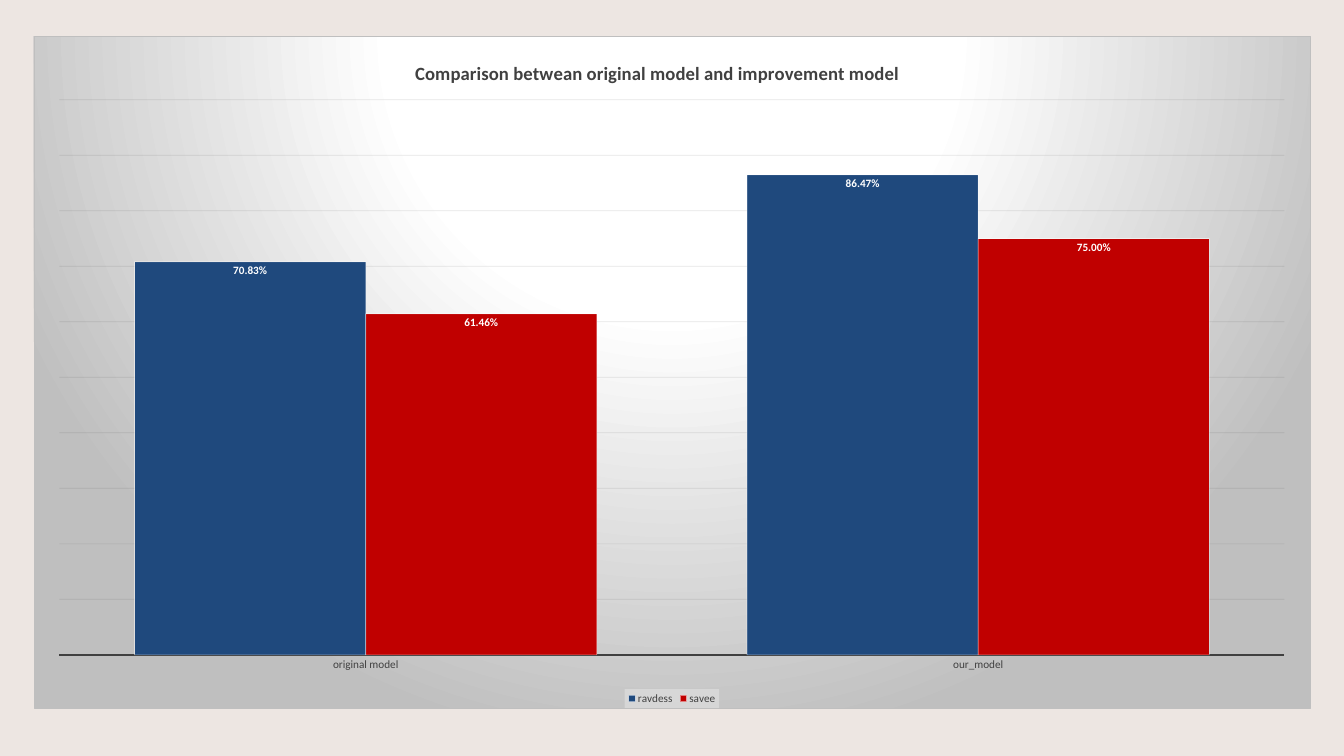
from pptx import Presentation
from pptx.chart.data import CategoryChartData
from pptx.dml.color import RGBColor
from pptx.enum.chart import XL_CHART_TYPE, XL_LABEL_POSITION, XL_LEGEND_POSITION, XL_TICK_MARK
from pptx.oxml import parse_xml
from pptx.oxml.ns import nsdecls, qn
from pptx.util import Inches, Pt

INK = "404040"
PERCENT = "0.00%"
MODELS = ["original model", "our_model"]
ACCURACY = {
    "ravdess": ("1F497D", [0.7083, 0.8647]),
    "savee": ("C00000", [0.6146, 0.75]),
}


def color(value):
    return RGBColor.from_string(value)


def apply(target, values):
    for name, value in values.items():
        setattr(target, name, value)


def set_font(font, size, ink, bold=False):
    apply(font, {"name": "Calibri", "size": Pt(size), "bold": bold})
    font.color.rgb = color(ink)


def set_line(line, ink, width):
    line.color.rgb = color(ink)
    line.width = Pt(width)


def set_alpha(chart, query, percent):
    for ink in chart.element.xpath(query):
        ink.append(parse_xml(f'<a:alpha {nsdecls("a")} val="{percent * 1000}"/>'))


def place(part, index, x, y, width=None, height=None, inner=False):
    for layout in part.findall(qn("c:layout")):
        part.remove(layout)
    target = '<c:layoutTarget val="inner"/>' if inner else ""
    modes = '<c:xMode val="edge"/><c:yMode val="edge"/>'
    sizes = "".join(
        f'<c:{name} val="{value}"/>'
        for name, value in zip("xywh", (x, y, width, height))
        if value is not None
    )
    part.insert(index, parse_xml(
        f'<c:layout {nsdecls("c")}><c:manualLayout>{target}{modes}{sizes}'
        "</c:manualLayout></c:layout>"
    ))


def add_heading(chart):
    heading = chart.chart_title.text_frame
    heading.text = "Comparison betwean original model and improvement model"
    set_font(heading.paragraphs[0].runs[0].font, 20, INK, True)
    place(chart.element.xpath("c:chart/c:title")[0], 1, 0.296, 0.03)


def format_axes(chart):
    models = chart.category_axis
    apply(models, {"major_tick_mark": XL_TICK_MARK.NONE, "minor_tick_mark": XL_TICK_MARK.NONE})
    set_font(models.tick_labels.font, 12, INK)
    set_line(models.format.line, INK, 1.5)
    accuracy = chart.value_axis
    apply(accuracy, {"minimum_scale": 0, "maximum_scale": 1, "major_unit": 0.1,
                     "has_major_gridlines": True, "visible": False})
    apply(accuracy.tick_labels, {"number_format": PERCENT, "number_format_is_linked": False})
    set_line(accuracy.major_gridlines.format.line, "0D0D0D", 0.75)
    set_alpha(chart, ".//c:majorGridlines//a:srgbClr", 10)


def format_bars(chart):
    plot = chart.plots[0]
    apply(plot, {"gap_width": 65, "overlap": 0, "vary_by_categories": False})
    for bars in plot.series:
        bars.format.fill.solid()
        bars.format.fill.fore_color.rgb = color(ACCURACY[bars.name][0])
        set_line(bars.format.line, "FFFFFF", 0.75)
        bars.invert_if_negative = False
        labels = bars.data_labels
        apply(labels, {"show_value": True, "position": XL_LABEL_POSITION.INSIDE_END,
                       "number_format": PERCENT, "number_format_is_linked": False})
        set_font(labels.font, 12, "FFFFFF", True)
    set_alpha(chart, ".//c:ser/c:spPr/a:ln//a:srgbClr", 50)
    place(chart.element.xpath(".//c:plotArea")[0], 0, 0.02, 0.094, 0.96, 0.827, True)


def add_legend(chart):
    chart.has_legend = True
    legend = chart.legend
    apply(legend, {"position": XL_LEGEND_POSITION.BOTTOM, "include_in_layout": False})
    set_font(legend.font, 12, INK)
    part = chart.element.xpath(".//c:legend")[0]
    place(part, 1, 0.463, 0.972, 0.074, 0.028)
    part.find(qn("c:overlay")).addnext(parse_xml(
        f'<c:spPr {nsdecls("c", "a")}><a:solidFill><a:srgbClr val="F2F2F2">'
        '<a:alpha val="39000"/></a:srgbClr></a:solidFill></c:spPr>'
    ))


def fill_chart_area(chart):
    stops = "".join(
        f'<a:gs pos="{position * 1000}"><a:srgbClr val="{ink}"/></a:gs>'
        for position, ink in [(0, "FFFFFF"), (39, "FFFFFF"), (100, "BFBFBF")]
    )
    chart.element.find(qn("c:chart")).addnext(parse_xml(
        f'<c:spPr {nsdecls("c", "a")}><a:gradFill><a:gsLst>{stops}</a:gsLst>'
        '<a:path path="circle"><a:fillToRect l="50000" t="-80000" r="50000" b="180000"/></a:path>'
        '</a:gradFill><a:ln w="9525"><a:solidFill><a:srgbClr val="BFBFBF"/></a:solidFill></a:ln></c:spPr>'
    ))


def add_comparison(slide):
    data = CategoryChartData(number_format=PERCENT)
    data.categories = MODELS
    for name, (ink, values) in ACCURACY.items():
        data.add_series(name, values)
    chart = slide.shapes.add_chart(
        XL_CHART_TYPE.COLUMN_CLUSTERED,
        Inches(0.5), Inches(0.54), Inches(19), Inches(10), data,
    ).chart
    set_font(chart.font, 10, "000000")
    add_heading(chart)
    format_axes(chart)
    format_bars(chart)
    add_legend(chart)
    fill_chart_area(chart)


def main():
    deck = Presentation()
    apply(deck, {"slide_width": Inches(20), "slide_height": Inches(11.25)})
    slide = deck.slides.add_slide(deck.slide_layouts[6])
    slide.background.fill.solid()
    slide.background.fill.fore_color.rgb = color("EDE6E2")
    add_comparison(slide)
    deck.save("out.pptx")


if __name__ == "__main__":
    main()
